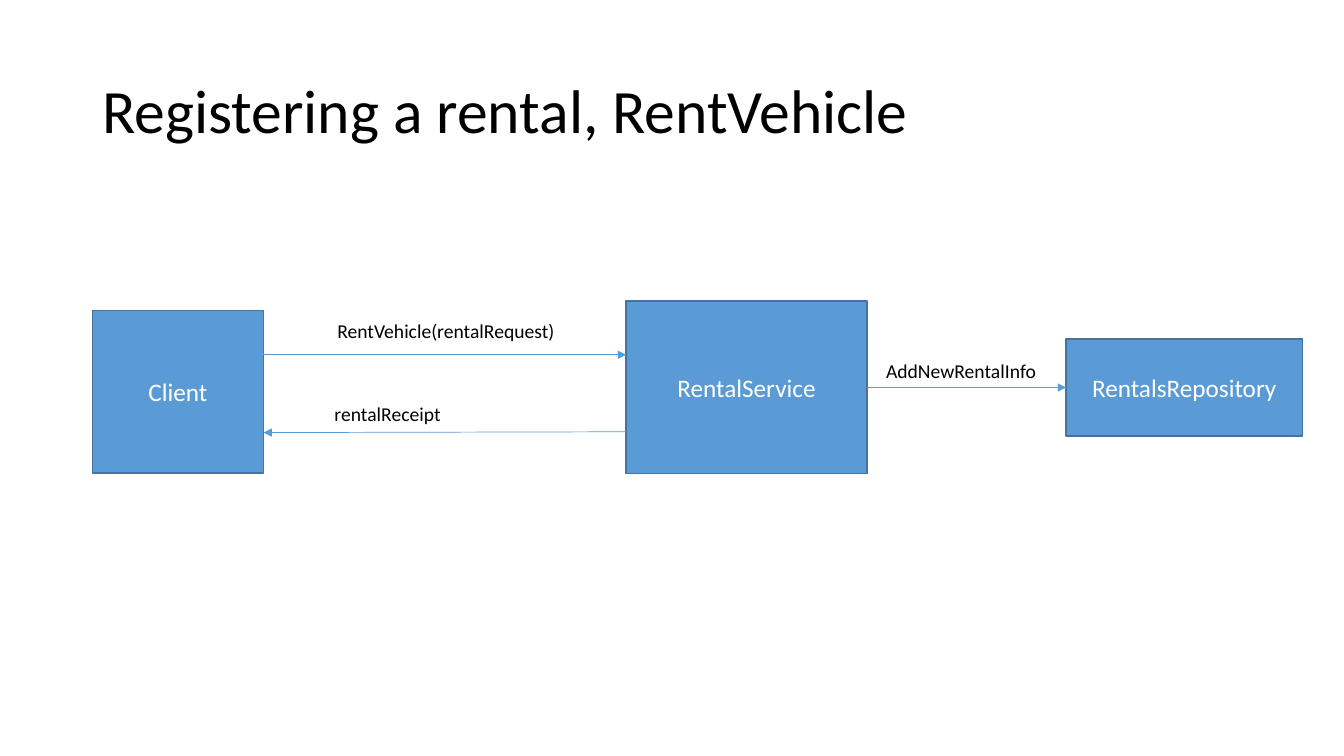
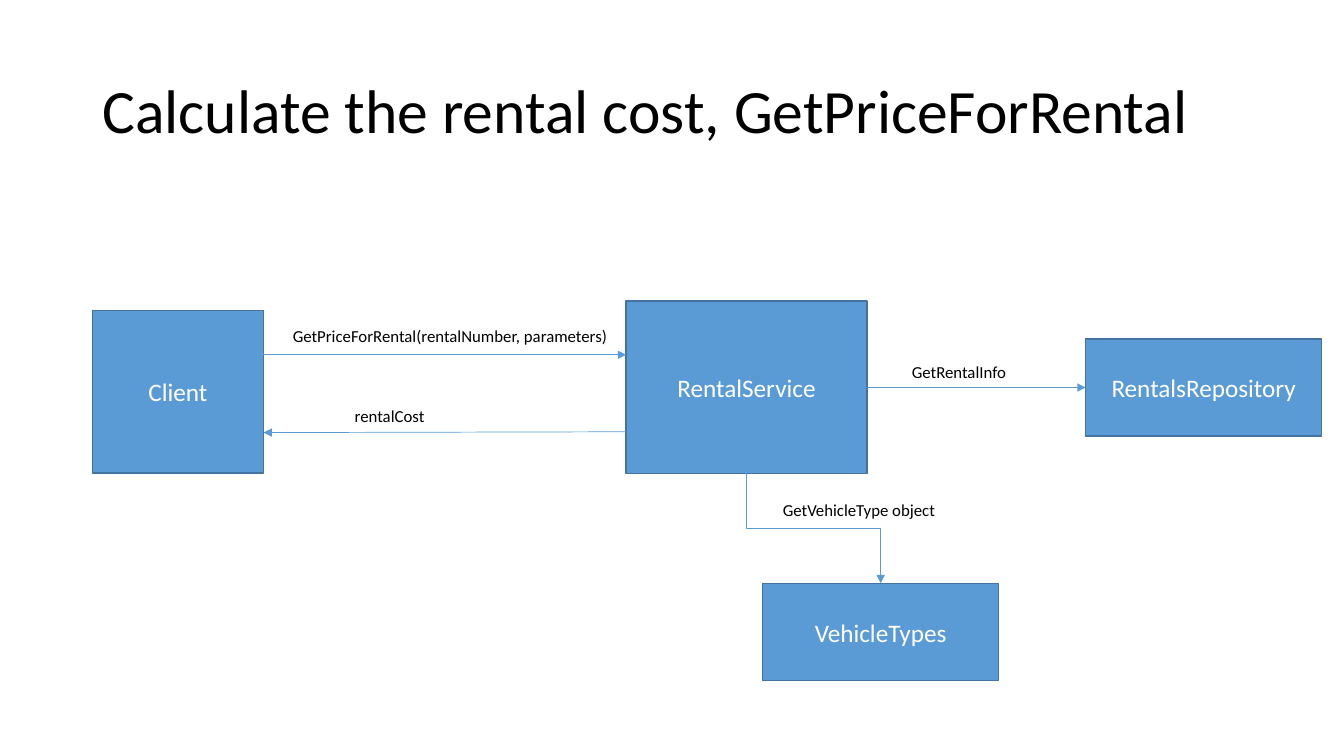
from dataclasses import dataclass

from lxml.etree import SubElement
from pptx import Presentation
from pptx.dml.color import RGBColor as RGB
from pptx.enum.shapes import MSO_CONNECTOR as LINK, MSO_SHAPE as SHAPE
from pptx.enum.text import MSO_ANCHOR as ANCHOR, MSO_AUTO_SIZE as FIT, PP_ALIGN as ALIGN
from pptx.oxml.ns import qn
from pptx.util import Cm, Pt

TOP, LEFT, BOTTOM, RIGHT = range(4)  # connection sites of a rectangle


@dataclass(frozen=True)
class Theme:
    font: str = "Calibri"
    ink: RGB = RGB(0x00, 0x00, 0x00)
    white: RGB = RGB(0xFF, 0xFF, 0xFF)
    blue: RGB = RGB(0x5B, 0x9B, 0xD5)
    edge: RGB = RGB(0x43, 0x73, 0x9E)
    title: int = 44
    body: int = 18
    rim: float = 1
    wire: float = 0.5


class Deck:
    def __init__(self, theme):
        self.theme = theme
        self.prs = Presentation()
        self.prs.slide_width, self.prs.slide_height = Cm(33.87), Cm(19.05)

    # Text
    def put(self, frame, text, size, color):
        frame.word_wrap = True
        para = frame.paragraphs[0]
        run = para.add_run()
        run.text = text
        run.font.name = self.theme.font
        run.font.size = Pt(size)
        run.font.color.rgb = color
        return para

    def page(self, title):
        self.slide = self.prs.slides.add_slide(self.prs.slide_layouts[6])
        frame = self.slide.shapes.add_textbox(
            Cm(2.33), Cm(1.02), Cm(29.21), Cm(3.68)).text_frame
        frame.vertical_anchor = ANCHOR.MIDDLE
        para = self.put(frame, title, self.theme.title, self.theme.ink)
        para.line_spacing = 0.9

    def label(self, text, x, y, size, width=7.04):
        frame = self.slide.shapes.add_textbox(
            Cm(x), Cm(y), Cm(width), Pt(size * 1.2) + Cm(0.25)).text_frame
        self.put(frame, text, size, self.theme.ink)
        frame.auto_size = FIT.SHAPE_TO_FIT_TEXT

    # Boxes
    def box(self, text, x, y, width=5.95, height=2.45):
        box = self.slide.shapes.add_shape(
            SHAPE.RECTANGLE, Cm(x), Cm(y), Cm(width), Cm(height))
        box.shadow.inherit = False
        box.fill.solid()
        box.fill.fore_color.rgb = self.theme.blue
        box.line.color.rgb = self.theme.edge
        box.line.width = Pt(self.theme.rim)
        box.text_frame.vertical_anchor = ANCHOR.MIDDLE
        para = self.put(box.text_frame, text, self.theme.body, self.theme.white)
        para.alignment = ALIGN.CENTER
        return box

    # Arrows
    def arrow(self, kind, start, end):
        line = self.slide.shapes.add_connector(kind, *start, *end)
        line.line.color.rgb = self.theme.blue
        line.line.width = Pt(self.theme.wire)
        props = line.element.spPr
        SubElement(props.find(qn("a:ln")), qn("a:tailEnd"), type="triangle")
        SubElement(props, qn("a:effectLst"))
        return line

    def across(self, source, target):
        y = source.top + source.height // 2
        line = self.arrow(LINK.ELBOW, (source.left + source.width, y), (target.left, y))
        line.begin_connect(source, RIGHT)
        line.end_connect(target, LEFT)

    def down(self, source, target):
        x, y = source.left + source.width // 2, source.top + source.height
        wide, high = target.left + target.width // 2 - x, target.top - y
        line = self.arrow(LINK.ELBOW, (x, y), (x + wide, y + high))
        line.begin_connect(source, BOTTOM)
        line.end_connect(target, TOP)
        # A quarter turn plus a flip makes the elbow leave downwards
        line.left, line.top = x + (wide - high) // 2, y + (high - wide) // 2
        line.width, line.height = high, wide
        frame = line.element.spPr.find(qn("a:xfrm"))
        frame.set("rot", "16200000")
        frame.set("flipH", "1")

    # Client, service and repository with the calls between them
    def flow(self, title, store):
        self.page(title)
        client = self.box("Client", 2.33, 7.83, 4.31, 4.09)
        service = self.box("RentalService", 15.78, 7.59, 6.07, 4.34)
        near, far = client.left + client.width, service.left
        self.arrow(LINK.STRAIGHT, (near, Cm(8.94)), (far, Cm(8.94)))
        self.arrow(LINK.STRAIGHT, (far, Cm(10.88)), (near, Cm(10.9)))
        self.across(service, self.box("RentalsRepository", store, 8.54))
        return service


def main():
    deck = Deck(Theme())

    # Registering a rental
    deck.flow("Registering a rental, RentVehicle", 26.87)
    deck.label("RentVehicle(rentalRequest)", 8.25, 7.92, 14)
    deck.label("rentalReceipt", 8.18, 10.01, 14)
    deck.label("AddNewRentalInfo", 22.08, 8.92, 14)

    # Rental cost
    service = deck.flow("Calculate the rental cost, GetPriceForRental", 27.36)
    deck.down(service, deck.box("VehicleTypes", 19.22, 14.7))
    deck.label("GetPriceForRental(rentalNumber, parameters)", 7.13, 8.08, 12, 8.65)
    deck.label("rentalCost", 8.69, 10.11, 12)
    deck.label("GetRentalInfo", 22.73, 8.99, 12, 4.1)
    deck.label("GetVehicleType object", 19.48, 12.48, 12)

    deck.prs.save("out.pptx")


if __name__ == "__main__":
    main()
